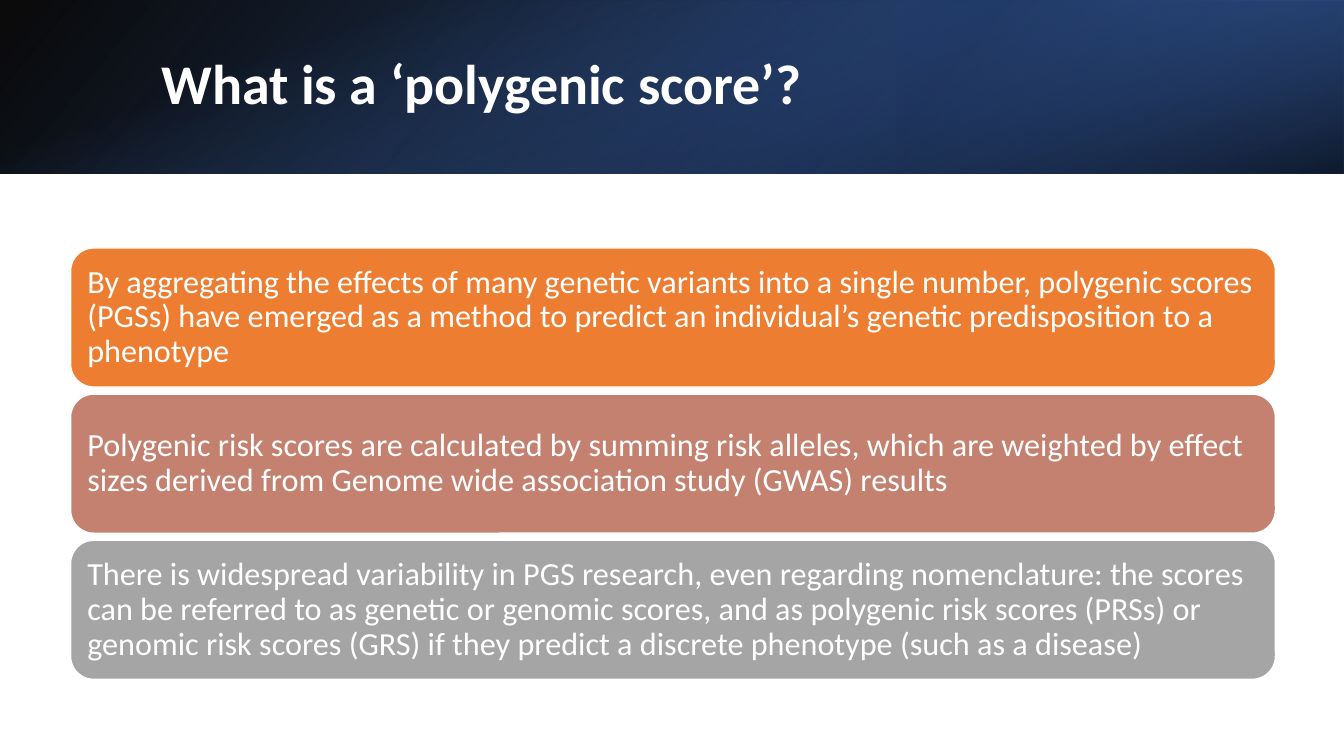
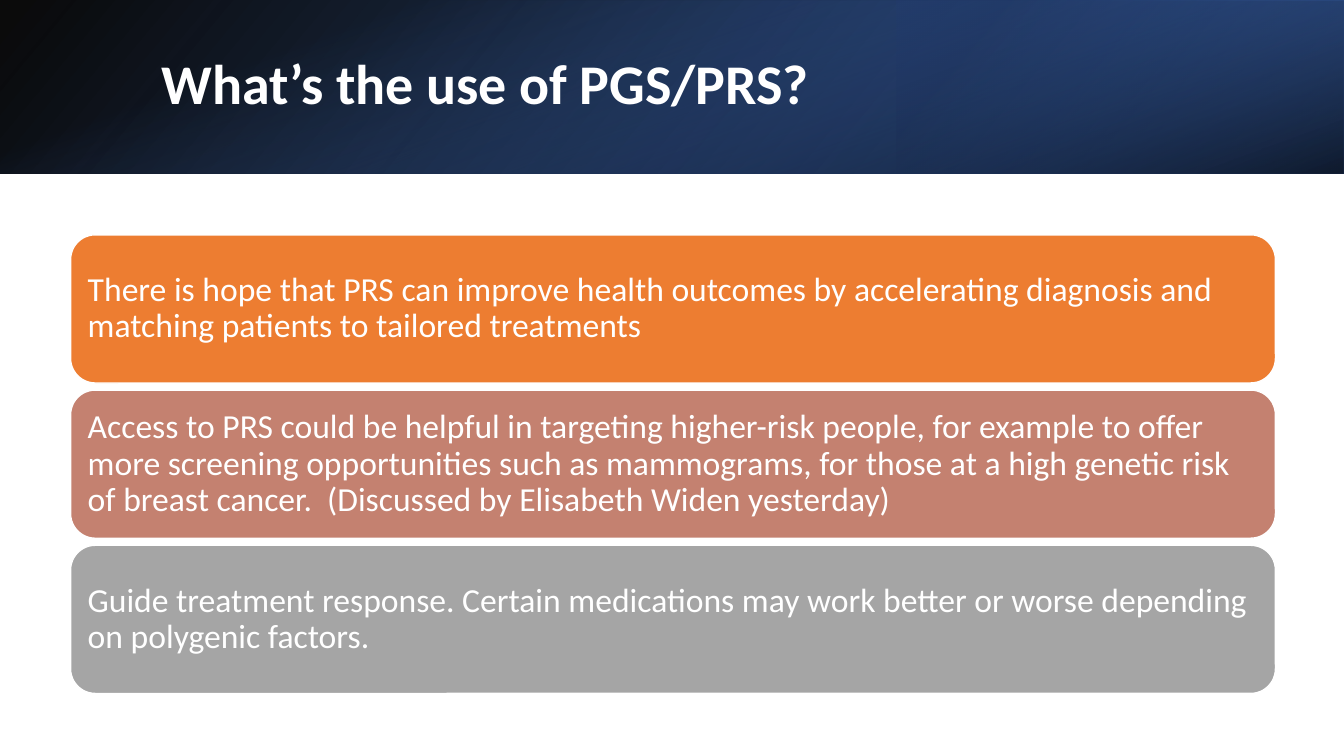
from lxml import etree
from pptx import Presentation
from pptx.dml.color import RGBColor
from pptx.enum.shapes import MSO_SHAPE
from pptx.enum.text import MSO_ANCHOR, MSO_AUTO_SIZE, PP_ALIGN
from pptx.oxml.ns import qn
from pptx.util import Inches, Pt

RECT, ROUND = MSO_SHAPE.RECTANGLE, MSO_SHAPE.ROUNDED_RECTANGLE
MIDDLE, LEFT, NO_FIT = MSO_ANCHOR.MIDDLE, PP_ALIGN.LEFT, MSO_AUTO_SIZE.NONE

# Shared look
FONT, WHITE = "Calibri", "FFFFFF"
BOX_FILLS = ["ED7D31", "C48170", "A5A5A5"]
GAP = 0.07
# Header layers: place, rotation, flip, gradient angle, stops (position, colour, opacity)
LAYERS = [
    ((0, 0, 13.33, 1.72), 0, True, 140, [(0, "000000", 96), (100, "2F5597", 100)]),
    ((8.89, 0, 4.44, 1.72), 180, True, 320, [(19, "203864", 68), (100, "4472C4", 79)]),
    ((5.8, -5.8, 1.72, 13.33), 90, False, 340, [(23, "4472C4", 0), (99, "000000", 74)]),
]

# Per slide: title, top of first box, box height, text size, box texts
SLIDES = [
    ("What is a ‘polygenic score’?", 2.46, 1.38, 23, [
        "By aggregating the effects of many genetic variants into a single number, "
        "polygenic scores (PGSs) have emerged as a method to predict an individual’s "
        "genetic predisposition to a phenotype",
        "Polygenic risk scores are calculated by summing risk alleles, which are weighted "
        "by effect sizes derived from Genome wide association study (GWAS) results",
        "There is widespread variability in PGS research, even regarding nomenclature: "
        "the scores can be referred to as genetic or genomic scores, and as polygenic risk "
        "scores (PRSs) or genomic risk scores (GRS) if they predict a discrete phenotype "
        "(such as a disease)",
    ]),
    ("What’s the use of PGS/PRS?", 2.33, 1.47, 24, [
        "There is hope that PRS can improve health outcomes by accelerating diagnosis and "
        "matching patients to tailored treatments",
        "Access to PRS could be helpful in targeting higher-risk people, for example to "
        "offer more screening opportunities such as mammograms, for those at a high genetic "
        "risk of breast cancer.  (Discussed by Elisabeth Widen yesterday)",
        "Guide treatment response. Certain medications may work better or worse depending "
        "on polygenic factors.",
    ]),
]


def color(code):
    return RGBColor.from_string(code)


def write(shape, text, size, bold=False):
    frame = shape.text_frame
    frame.text = text
    frame.word_wrap = True
    frame.auto_size = NO_FIT
    frame.vertical_anchor = MIDDLE
    para = frame.paragraphs[0]
    para.alignment = LEFT
    para.line_spacing = 0.9
    font = para.runs[0].font
    font.name, font.size, font.bold = FONT, Pt(size), bold
    font.color.rgb = color(WHITE)


prs = Presentation()
prs.slide_width, prs.slide_height = Inches(13.33), Inches(7.5)

for head, top, high, size, texts in SLIDES:
    slide = prs.slides.add_slide(prs.slide_layouts[5])
    shapes = slide.shapes

    # Header band
    for place, turn, flip, angle, stops in LAYERS:
        band = shapes.add_shape(RECT, *map(Inches, place))
        band.shadow.inherit = False
        band.line.fill.background()
        band.rotation = turn
        props = band._element.spPr
        if flip:
            props.find(qn("a:xfrm")).set("flipH", "1")
        grad = etree.Element(qn("a:gradFill"), rotWithShape="1")
        marks = etree.SubElement(grad, qn("a:gsLst"))
        for pos, code, alpha in stops:
            mark = etree.SubElement(marks, qn("a:gs"), pos=str(pos * 1000))
            tone = etree.SubElement(mark, qn("a:srgbClr"), val=code)
            etree.SubElement(tone, qn("a:alpha"), val=str(alpha * 1000))
        etree.SubElement(grad, qn("a:lin"), ang=str(angle * 60000), scaled="0")
        props.find(qn("a:prstGeom")).addnext(grad)

    # Title, in front of the band
    title = shapes.title
    title.left, title.top = Inches(1.5), Inches(0.38)
    title.width, title.height = Inches(10.98), Inches(0.96)
    write(title, head, 40, True)
    shapes._spTree.append(title._element)

    # Stacked boxes
    for row, (text, code) in enumerate(zip(texts, BOX_FILLS)):
        y = top + row * (high + GAP)
        box = shapes.add_shape(ROUND, Inches(0.7), Inches(y), Inches(11.95), Inches(high))
        box.shadow.inherit = False
        box.fill.solid()
        box.fill.fore_color.rgb = color(code)
        box.line.color.rgb = color(WHITE)
        box.line.width = Pt(1)
        write(box, text, size)
        frame = box.text_frame
        frame.margin_left = frame.margin_right = Inches(0.1)
        frame.margin_top = frame.margin_bottom = Inches(0.1)

prs.save("out.pptx")
